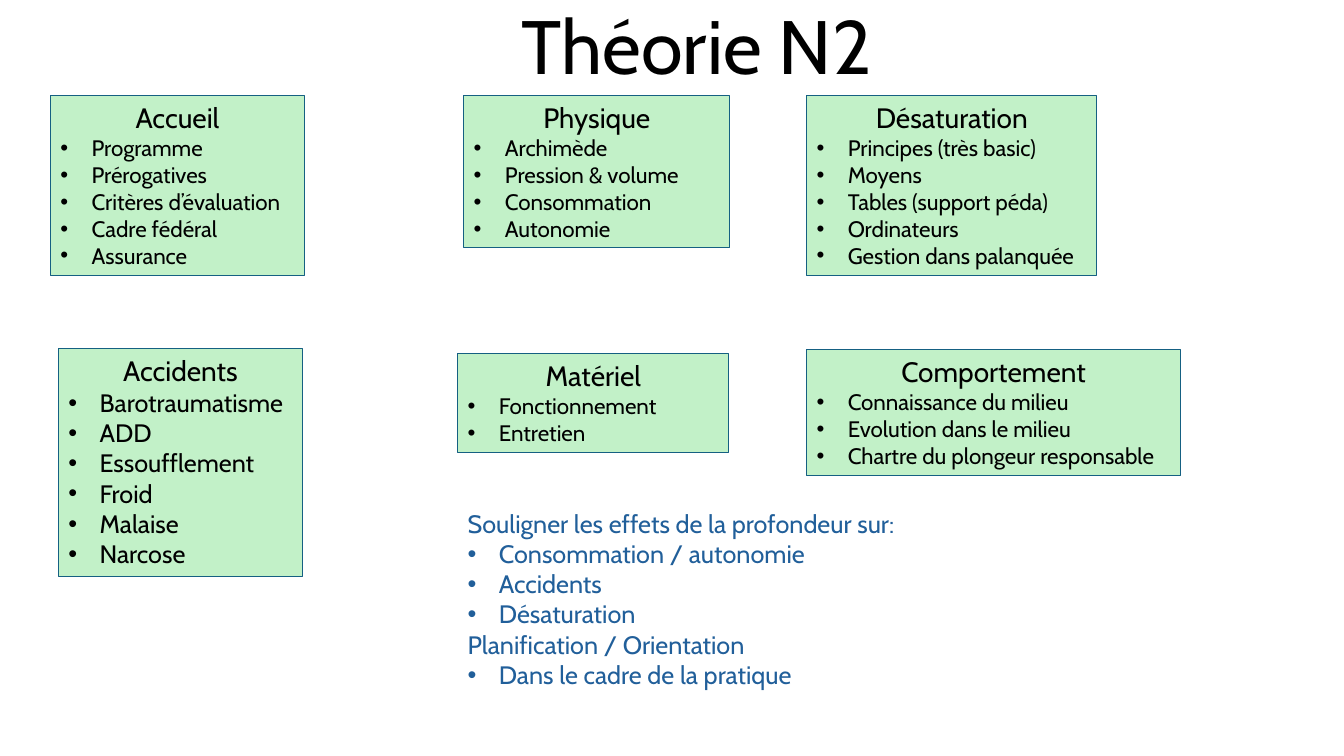
from lxml import etree
from pptx import Presentation
from pptx.dml.color import RGBColor
from pptx.enum.shapes import MSO_SHAPE
from pptx.enum.text import MSO_ANCHOR, PP_ALIGN
from pptx.oxml.ns import qn
from pptx.util import Pt

PX = 9144  # 100 px to the inch
FONT = "Cabin"
BLACK = RGBColor(0x00, 0x00, 0x00)
GREEN = RGBColor(0xC2, 0xF1, 0xC8)
TEAL = RGBColor(0x15, 0x60, 0x82)
BLUE = RGBColor(0x21, 0x5F, 0x9A)
RECT = MSO_SHAPE.RECTANGLE
TOP, BOTTOM = MSO_ANCHOR.TOP, MSO_ANCHOR.BOTTOM
LEFT, CENTER = PP_ALIGN.LEFT, PP_ALIGN.CENTER
INDENT = 31 * PX


def add_line(tf, text, size, color=BLACK, align=LEFT, bullet=False):
    p = tf.paragraphs[0]
    if p.runs:
        p = tf.add_paragraph()
    p.alignment = align
    if bullet:
        pPr = p._p.get_or_add_pPr()
        pPr.set("marL", str(INDENT))
        pPr.set("indent", str(-INDENT))
        etree.SubElement(pPr, qn("a:buFont")).set("typeface", "Arial")
        etree.SubElement(pPr, qn("a:buChar")).set("char", "•")
    r = p.add_run()
    r.text = text
    r.font.name = FONT
    r.font.size = Pt(size)
    r.font.color.rgb = color
    return p


prs = Presentation()
prs.slide_width, prs.slide_height = 1333 * PX, 750 * PX
s = prs.slides.add_slide(prs.slide_layouts[6])

# Title
tf = s.shapes.add_textbox(191 * PX, 0, 1000 * PX, 95 * PX).text_frame
tf.word_wrap = True
tf.vertical_anchor = BOTTOM
add_line(tf, "Théorie N2", 54, align=CENTER).line_spacing = 0.9

# Topic boxes: place, bullet size, heading, bullets
topics = [
    ((460, 95, 264, 151), 16, "Physique",
     ["Archimède", "Pression & volume", "Consommation", "Autonomie"]),
    ((50, 95, 252, 178), 16, "Accueil",
     ["Programme", "Prérogatives", "Critères d’évaluation", "Cadre fédéral",
      "Assurance"]),
    ((800, 95, 288, 178), 16, "Désaturation",
     ["Principes (très basic)", "Moyens", "Tables (support péda)",
      "Ordinateurs", "Gestion dans palanquée"]),
    ((58, 346, 242, 226), 18, "Accidents",
     ["Barotraumatisme", "ADD", "Essoufflement", "Froid", "Malaise",
      "Narcose"]),
    ((454, 351, 269, 98), 16, "Matériel", ["Fonctionnement", "Entretien"]),
    ((800, 347, 371, 125), 16, "Comportement",
     ["Connaissance du milieu", "Evolution dans le milieu",
      "Chartre du plongeur responsable"]),
]
for place, size, heading, bullets in topics:
    sp = s.shapes.add_shape(RECT, *(v * PX for v in place))
    sp.shadow.inherit = False
    sp.fill.solid()
    sp.fill.fore_color.rgb = GREEN
    sp.line.color.rgb = TEAL
    sp.line.width = Pt(0.75)
    tf = sp.text_frame
    tf.word_wrap = True
    tf.vertical_anchor = TOP
    add_line(tf, heading, 20, align=CENTER)
    for text in bullets:
        add_line(tf, text, size, bullet=True)

# Closing notes on depth and practice
notes = [
    ("Souligner les effets de la profondeur sur:",
     ["Consommation / autonomie", "Accidents", "Désaturation"]),
    ("Planification / Orientation", ["Dans le cadre de la pratique"]),
]
tf = s.shapes.add_textbox(454 * PX, 499 * PX, 457 * PX, 192 * PX).text_frame
tf.word_wrap = True
for heading, bullets in notes:
    add_line(tf, heading, 18, BLUE)
    for text in bullets:
        add_line(tf, text, 18, BLUE, bullet=True)

prs.save("out.pptx")
